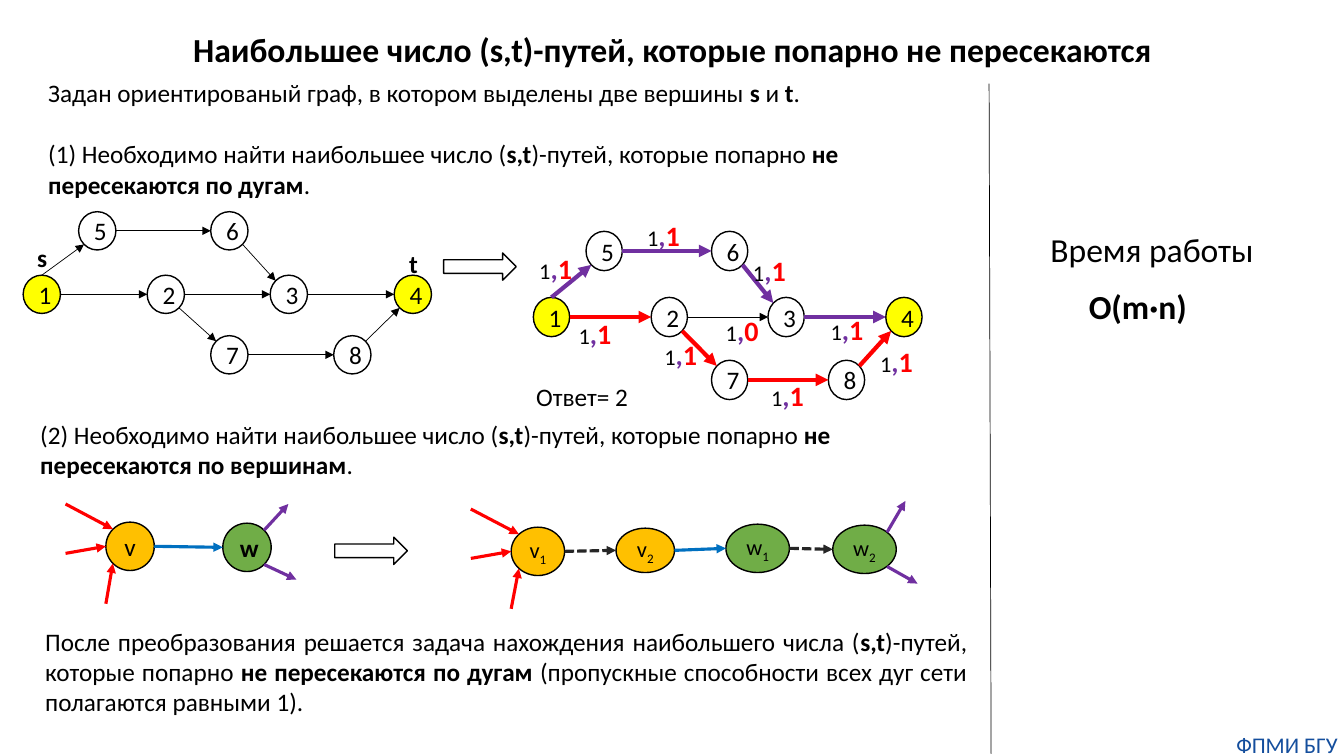
from pptx import Presentation
from pptx import util as u
from pptx.dml.color import RGBColor
from pptx.enum import dml, shapes, text
from pptx.oxml.ns import qn
from lxml import etree

BLACK, RED, PURPLE, BLUE = "000000", "FF0000", "7030A0", "0070C0"
YELLOW, GOLD, GREEN, DARK = "FFFF00", "FFC000", "70AD47", "262626"
SIDES = {"N": (0, -1), "S": (0, 1), "W": (-1, 0), "E": (1, 0),
         "NW": (-.71, -.71), "NE": (.71, -.71), "SW": (-.71, .71), "SE": (.71, .71)}

# Vertex offsets from vertex 1, and arcs with the sides they touch
PLACES = {1: (0, 0), 2: (1.23, 0), 3: (2.45, 0), 4: (3.68, 0),
          5: (.55, -.63), 6: (1.86, -.63), 7: (1.86, .6), 8: (3.08, .6)}
ARCS = [(1, 2, "E", "W"), (2, 3, "E", "W"), (3, 4, "E", "W"),
        (2, 7, "SE", "NW"), (7, 8, "E", "W"), (8, 4, "NE", "SW"),
        (1, 5, "N", "SW"), (5, 6, "E", "W"), (6, 3, "SE", "NW")]
FLOWS = [RED, BLACK, PURPLE, RED, RED, RED, PURPLE, PURPLE, PURPLE]
LABELS = [(5.64, 3.09, "1"), (7.1, 3.06, "0"), (8.14, 3.05, "1"),
          (6.49, 3.3, "1"), (7.55, 3.71, "1"), (8.63, 3.37, "1"),
          (5.25, 2.45, "1"), (6.32, 2.12, "1"), (7.37, 2.47, "1")]


def rgb(code):
    return RGBColor.from_string(code)


def write(par, words, size=18, bold=False, color=BLACK, sub=False):
    run = par.add_run()
    run.text = words
    font = run.font
    font.name, font.size, font.bold = "Calibri", u.Pt(size), bold
    font.color.rgb = rgb(color)
    if sub:
        font._element.set("baseline", "-25000")


def mix(par, *parts):
    """Write parts in turn as plain and bold runs."""
    for i, part in enumerate(parts):
        write(par, part, bold=i % 2 == 1)


def box(home, x, y, w, h, wrap=False):
    """Add a text box and return its frame."""
    frame = home.add_textbox(*map(u.Inches, (x, y, w, h))).text_frame
    frame.word_wrap = wrap
    return frame


def note(home, x, y, w, h, words, **look):
    write(box(home, x, y, w, h).paragraphs[0], words, **look)


def form(home, kind, x, y, w, h, fill=None):
    item = home.add_shape(kind, *map(u.Inches, (x, y, w, h)))
    item.shadow.inherit = False
    if fill:
        item.fill.solid()
        item.fill.fore_color.rgb = rgb(fill)
    else:
        item.fill.background()
    item.line.color.rgb = rgb(BLACK)
    item.line.width = u.Pt(1)
    return item


def node(home, x, y, w, h, name, fill=None, size=18, bold=False, index=""):
    item = form(home, shapes.MSO_SHAPE.OVAL, x, y, w, h, fill)
    frame = item.text_frame
    frame.vertical_anchor = text.MSO_ANCHOR.MIDDLE
    frame.word_wrap = not index
    par = frame.paragraphs[0]
    par.alignment = text.PP_ALIGN.CENTER
    write(par, name, size, bold)
    if index:
        write(par, index, size, sub=True)
    return item


def spot(item, side):
    """Return the point on an oval's edge, in inches."""
    dx, dy = SIDES[side]
    return ((item.left + item.width * (1 + dx) / 2) / 914400,
            (item.top + item.height * (1 + dy) / 2) / 914400)


def line(home, start, end, color=BLACK, width=.5, dash=False, head=True):
    link = home.add_connector(shapes.MSO_CONNECTOR.STRAIGHT,
                              *map(u.Inches, (*start, *end)))
    link.line.color.rgb = rgb(color)
    link.line.width = u.Pt(width)
    if dash:
        link.line.dash_style = dml.MSO_LINE.SQUARE_DOT
    if head:
        etree.SubElement(link.line._get_or_add_ln(), qn("a:tailEnd"), type="triangle")
    etree.SubElement(link._element.spPr, qn("a:effectLst"))


def graph(home, x, y, kx, ky, w, h, colors):
    """Draw the eight-vertex graph, scaled by kx and ky."""
    nodes = {n: node(home, x + dx * kx, y + dy * ky, w, h, str(n),
                     YELLOW if n in (1, 4) else None)
             for n, (dx, dy) in PLACES.items()}
    for (a, b, out, into), color in zip(ARCS, colors):
        line(home, spot(nodes[a], out), spot(nodes[b], into), color,
             .5 if color == BLACK else 3)


def fan(home, first, last, tips):
    """Draw red arcs into the first vertex and purple arcs out of the last."""
    x, y = first.left / 914400, first.top / 914400
    for dx, dy, side in [(-.4, -.18, "NW"), (-.4, .31, "W"), (0, .81, "SW")]:
        line(home, (x + dx, y + dy), spot(first, side), RED, 2.25)
    for side, tip in zip(("NE", "SE"), tips):
        line(home, spot(last, side), tip, PURPLE, 2.25)


def join(home, a, b, color, dash=False):
    line(home, spot(a, "E"), spot(b, "W"), color, 2.25, dash)


def arcs(page):
    """Draw the task of paths that share no arcs."""
    flow = page.add_group_shape().shapes
    graph(flow, 5.29, 2.95, .95, 1.04, .36, .39, FLOWS)
    for x, y, value in LABELS:
        par = box(flow, x, y, .53, .44).paragraphs[0]
        write(par, "1", 16)
        write(par, ",", 20, True, PURPLE)
        write(par, value, 20, True, RED)
    form(page, shapes.MSO_SHAPE.RIGHT_ARROW, 4.4, 2.51, .72, .27)
    plain = page.add_group_shape().shapes
    graph(plain, .23, 2.73, 1, 1, .37, .38, [BLACK] * len(ARCS))
    note(plain, .27, 2.35, .3, .4, "s", bold=True)
    note(plain, 3.96, 2.41, .29, .4, "t", bold=True)
    note(page, 5.22, 3.73, 1.18, .4, "Ответ= 2")


def split(page):
    """Draw vertices v and w, then each split in two."""
    form(page, shapes.MSO_SHAPE.RIGHT_ARROW, 3.32, 5.33, .72, .27)
    pair = page.add_group_shape().shapes
    v = node(pair, 1.05, 5.18, .48, .48, "v", GOLD)
    w = node(pair, 2.21, 5.19, .48, .48, "w", GREEN, bold=True)
    fan(pair, v, w, [(2.86, 5), (2.94, 5.75)])
    join(pair, v, w, BLUE)
    four = page.add_group_shape().shapes
    v1 = node(four, 5.07, 5.23, .53, .48, "v", GOLD, 16, index="1")
    v2 = node(four, 6.11, 5.24, .58, .44, "v", GOLD, 16, index="2")
    w1 = node(four, 7.2, 5.2, .63, .48, "w", GREEN, 16, index="1")
    w2 = node(four, 8.26, 5.21, .63, .48, "w", GREEN, 16, index="2")
    fan(four, v1, w2, [(8.98, 4.97), (9.1, 5.79)])
    join(four, v1, v2, DARK, True)
    join(four, v2, w1, BLUE)
    join(four, w1, w2, DARK, True)


def prose(page):
    frame = box(page, .38, .72, 9.3, 1.31, True)
    par = frame.paragraphs[0]
    mix(par, "Задан ориентированый граф, в котором выделены две вершины ",
        "s ", "и ", "t", ".")
    par.space_after = u.Pt(22)
    mix(frame.add_paragraph(), "(1) Необходимо найти наибольшее число (", "s,t",
        ")-путей, которые попарно ", "не пересекаются по дугам", ".")
    mix(box(page, .3, 4.11, 9.39, .71, True).paragraphs[0],
        "(2) Необходимо найти наибольшее число (", "s,t",
        ")-путей, которые попарно ", "не пересекаются по вершинам", ".")
    par = box(page, .35, 6.16, 9.34, 1.01, True).paragraphs[0]
    par.alignment = text.PP_ALIGN.JUSTIFY
    mix(par, "После преобразования решается задача нахождения наибольшего числа (",
        "s,t", ")-путей, которые попарно ", "не пересекаются по дугам ",
        "(пропускные способности всех дуг сети полагаются равными 1).")


def title(page, words):
    item = page.title
    item.left, item.top, item.width, item.height = map(u.Inches, (1.79, .19, 9.76, .64))
    item.text_frame.vertical_anchor = text.MSO_ANCHOR.MIDDLE
    par = item.text_frame.paragraphs[0]
    par.alignment, par.line_spacing = text.PP_ALIGN.CENTER, .9
    write(par, words, 24, True)


def main():
    deck = Presentation()
    deck.slide_width, deck.slide_height = u.Inches(13.33), u.Inches(7.5)
    page = deck.slides.add_slide(deck.slide_layouts[5]).shapes
    title(page, "Наибольшее число (s,t)-путей, которые попарно не пересекаются")
    arcs(page)
    prose(page)
    split(page)
    note(page, 10.32, 2.22, 2.38, .5, "Время работы", size=24)
    note(page, 10.7, 2.79, 1.18, .5, "O(m·n)", size=24, bold=True)
    foot = box(page, 12.2, 7.25, 1.13, .27)
    foot.margin_left = foot.margin_right = foot.margin_top = foot.margin_bottom = 0
    foot.paragraphs[0].alignment = text.PP_ALIGN.CENTER
    write(foot.paragraphs[0], "ФПМИ БГУ", 16, color="144E9D")
    line(page, (9.81, .83), (9.83, 7.48), head=False)
    deck.save("out.pptx")


if __name__ == "__main__":
    main()
